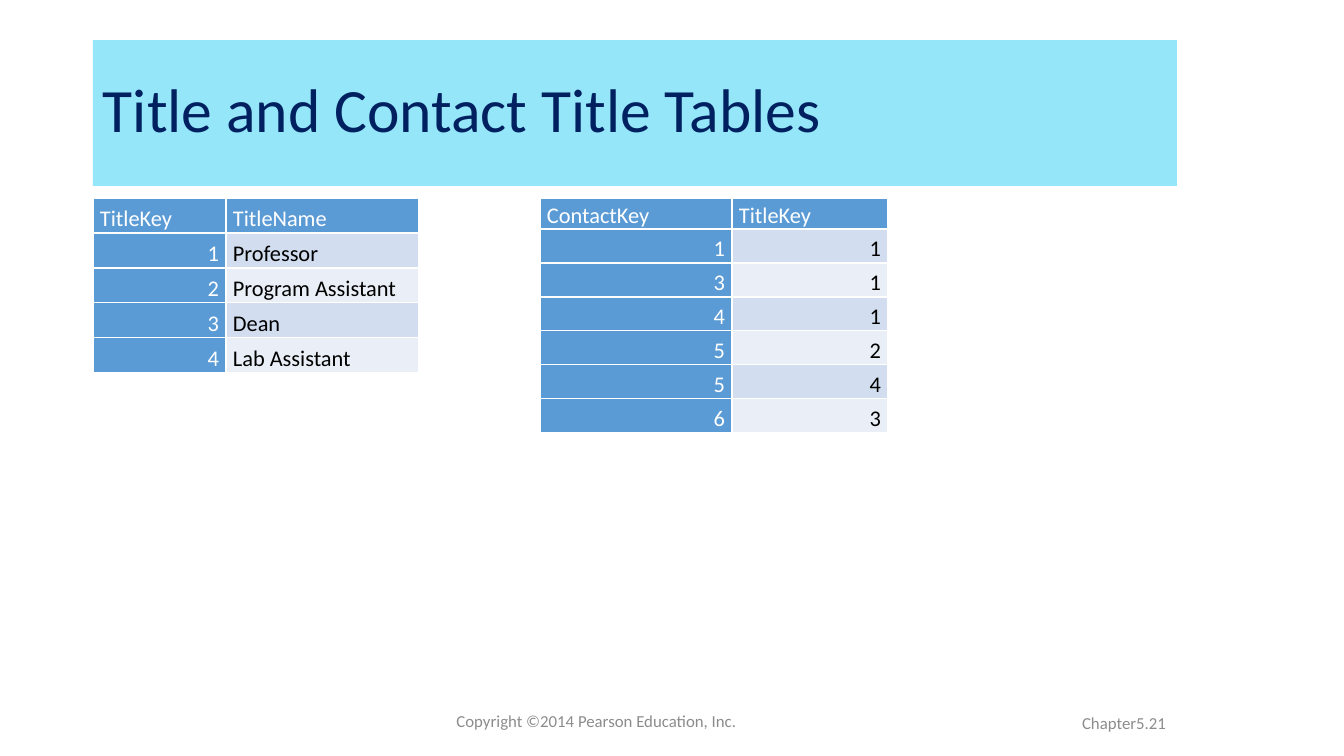
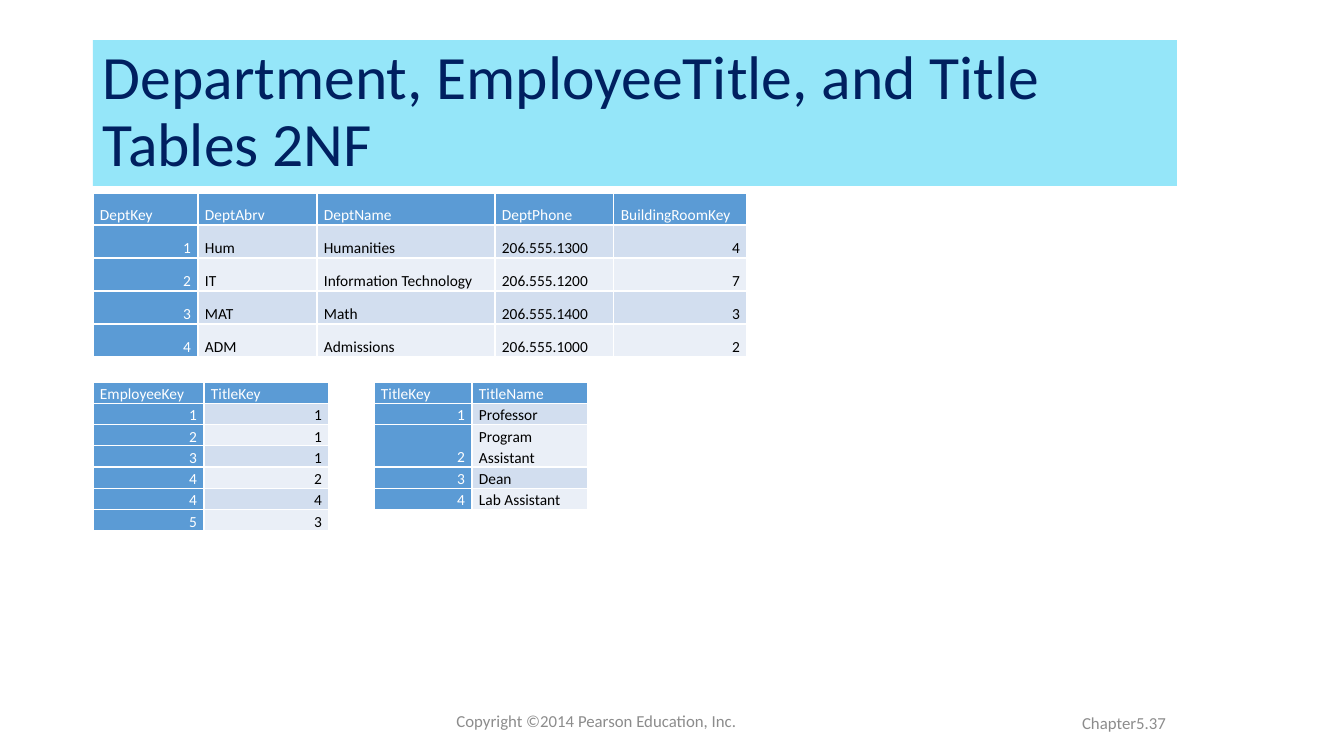
from dataclasses import dataclass

from lxml import etree
from pptx import Presentation
from pptx.dml.color import RGBColor
from pptx.enum.shapes import MSO_SHAPE
from pptx.enum.text import MSO_ANCHOR, PP_ALIGN
from pptx.oxml.ns import qn
from pptx.slide import Slide
from pptx.table import _Cell
from pptx.text.text import TextFrame
from pptx.util import Pt

EMU_PER_PX = 914400 / 100.8
FONT = "Calibri"

LEFT, CENTER, RIGHT = PP_ALIGN.LEFT, PP_ALIGN.CENTER, PP_ALIGN.RIGHT
MIDDLE, BOTTOM = MSO_ANCHOR.MIDDLE, MSO_ANCHOR.BOTTOM
RECTANGLE = MSO_SHAPE.RECTANGLE

WHITE = RGBColor(0xFF, 0xFF, 0xFF)
BLACK = RGBColor(0x00, 0x00, 0x00)
NAVY = RGBColor(0x00, 0x20, 0x60)
AQUA = RGBColor(0x95, 0xE6, 0xF9)
GRAY = RGBColor(0x8C, 0x8C, 0x8C)
BLUE = RGBColor(0x5B, 0x9B, 0xD5)
BANDS = (RGBColor(0xD2, 0xDE, 0xEF), RGBColor(0xEA, 0xEF, 0xF7))

MARGIN = 93
CELL_INSET = 7
BORDER_SIDES = ("a:lnL", "a:lnR", "a:lnT", "a:lnB")
COPYRIGHT = "Copyright ©2014 Pearson Education, Inc."


@dataclass(frozen=True)
class DataTable:
    left: int
    top: int
    columns: tuple[int, ...]
    header_height: int
    row_height: int
    size: int
    rows: tuple[tuple[str, ...], ...]


@dataclass(frozen=True)
class Page:
    title: str
    number: str
    tables: tuple[DataTable, ...]


TITLE_ROWS = (
    ("TitleKey", "TitleName"),
    ("1", "Professor"),
    ("2", "Program Assistant"),
    ("3", "Dean"),
    ("4", "Lab Assistant"),
)
CONTACT_TITLE_ROWS = (
    ("ContactKey", "TitleKey"),
    ("1", "1"),
    ("3", "1"),
    ("4", "1"),
    ("5", "2"),
    ("5", "4"),
    ("6", "3"),
)
DEPARTMENT_ROWS = (
    ("DeptKey", "DeptAbrv", "DeptName", "DeptPhone", "BuildingRoomKey"),
    ("1", "Hum", "Humanities", "206.555.1300", "4"),
    ("2", "IT", "Information Technology", "206.555.1200", "7"),
    ("3", "MAT", "Math", "206.555.1400", "3"),
    ("4", "ADM", "Admissions", "206.555.1000", "2"),
)
EMPLOYEE_TITLE_ROWS = (
    ("EmployeeKey", "TitleKey"),
    ("1", "1"),
    ("2", "1"),
    ("3", "1"),
    ("4", "2"),
    ("4", "4"),
    ("5", "3"),
)

PAGES = (
    Page("Title and Contact Title Tables", "Chapter5.21", (
        DataTable(MARGIN, 198, (133, 193), 35, 35, 16, TITLE_ROWS),
        DataTable(540, 198, (192, 156), 31, 34, 16, CONTACT_TITLE_ROWS),
    )),
    Page("Department, EmployeeTitle, and Title Tables 2NF", "Chapter5.37", (
        DataTable(MARGIN, 193, (105, 119, 178, 119, 133), 32, 33, 11, DEPARTMENT_ROWS),
        DataTable(374, 382, (98, 116), 21, 21, 11, TITLE_ROWS),
        DataTable(MARGIN, 382, (111, 125), 21, 21, 11, EMPLOYEE_TITLE_ROWS),
    )),
)


def px(length: int) -> int:
    return round(length * EMU_PER_PX)


def write(frame: TextFrame, text: str, *, size: int, color: RGBColor,
          align: PP_ALIGN = LEFT, spacing: float = 1.0) -> None:
    frame.word_wrap = True
    paragraph = frame.paragraphs[0]
    paragraph.alignment = align
    paragraph.line_spacing = spacing
    run = paragraph.add_run()
    run.text = text
    run.font.name = FONT
    run.font.size = Pt(size)
    run.font.color.rgb = color


def draw_title(slide: Slide, title: str) -> None:
    band = slide.shapes.add_shape(RECTANGLE, px(MARGIN), px(40), px(1084), px(146))
    band.shadow.inherit = False
    band.fill.solid()
    band.fill.fore_color.rgb = AQUA
    band.line.fill.background()
    band.text_frame.vertical_anchor = MIDDLE
    write(band.text_frame, title, size=44, color=NAVY, spacing=0.9)


def draw_footer(slide: Slide, text: str, left: int, top: int, width: int,
                align: PP_ALIGN) -> None:
    footer = slide.shapes.add_textbox(px(left), px(top), px(width), px(40))
    footer.text_frame.vertical_anchor = MIDDLE
    write(footer.text_frame, text, size=12, color=GRAY, align=align)


def add_borders(cell: _Cell) -> None:
    properties = cell._tc.get_or_add_tcPr()
    for position, side in enumerate(BORDER_SIDES):
        border = etree.Element(qn(side), w=str(Pt(1)))
        fill = etree.SubElement(border, qn("a:solidFill"))
        etree.SubElement(fill, qn("a:srgbClr"), val=str(WHITE))
        properties.insert(position, border)


def draw_cell(cell: _Cell, text: str, *, size: int, fill: RGBColor,
              color: RGBColor) -> None:
    cell.fill.solid()
    cell.fill.fore_color.rgb = fill
    cell.vertical_anchor = BOTTOM
    cell.margin_left = cell.margin_right = px(CELL_INSET)
    cell.margin_top = cell.margin_bottom = 0
    add_borders(cell)
    write(cell.text_frame, text, size=size, color=color,
          align=RIGHT if text.isdigit() else LEFT, spacing=1.15)


def draw_table(slide: Slide, data: DataTable) -> None:
    height = data.header_height + data.row_height * (len(data.rows) - 1)
    table = slide.shapes.add_table(
        len(data.rows), len(data.columns), px(data.left), px(data.top),
        px(sum(data.columns)), px(height)).table
    table.first_row = table.horz_banding = False
    for column, width in zip(table.columns, data.columns):
        column.width = px(width)
    for r, values in enumerate(data.rows):
        table.rows[r].height = px(data.row_height if r else data.header_height)
        for c, value in enumerate(values):
            is_key = r == 0 or c == 0
            draw_cell(table.cell(r, c), value, size=data.size,
                      fill=BLUE if is_key else BANDS[(r - 1) % 2],
                      color=WHITE if is_key else BLACK)


def main() -> None:
    deck = Presentation()
    deck.slide_width, deck.slide_height = px(1344), px(756)
    for page in PAGES:
        slide = deck.slides.add_slide(deck.slide_layouts[6])
        draw_footer(slide, COPYRIGHT, 347, 701, 499, CENTER)
        draw_title(slide, page.title)
        for data in page.tables:
            draw_table(slide, data)
        draw_footer(slide, page.number, 923, 703, 253, RIGHT)
    deck.save("out.pptx")


if __name__ == "__main__":
    main()
